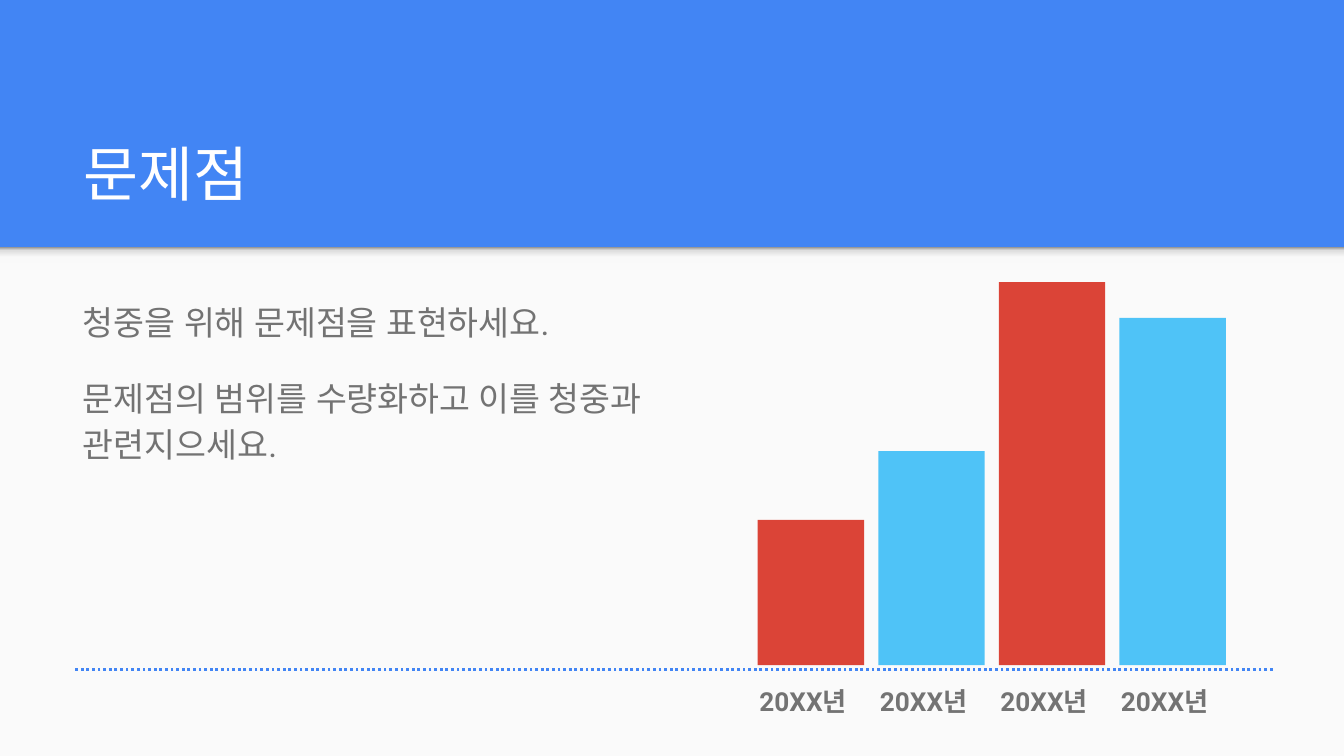
from lxml import etree
from pptx import Presentation
from pptx.dml.color import RGBColor
from pptx.enum.dml import MSO_LINE
from pptx.enum.shapes import MSO_CONNECTOR as CONN, MSO_SHAPE as SHAPE
from pptx.enum.text import MSO_ANCHOR as ANCHOR
from pptx.oxml import parse_xml
from pptx.oxml.ns import qn
from pptx.util import Pt

BLUE, RED, SKY, GREY = "4285F4", "DB4437", "4FC3F7", "737373"
NO_GRID = "{2D5ABB26-0587-4C30-8999-92F81FD0307C}"
INSET = Pt(7.2)


def rgb(color):
    return RGBColor.from_string(color)


def add_run(p, text, size, color, bold=False):
    r = p.add_run()
    r.text = text
    r.font.name = "Roboto"
    r.font.size = Pt(size)
    r.font.bold = bold
    r.font.color.rgb = rgb(color)
    # Hangul uses the East Asian typeface
    etree.SubElement(r.font._element, qn("a:ea"), typeface="Roboto")


prs = Presentation()
prs.slide_width, prs.slide_height = Pt(720), Pt(405)
s = prs.slides.add_slide(prs.slide_layouts[6])
s.background.fill.solid()
s.background.fill.fore_color.rgb = rgb(BLUE)

# Pale panel, then the four bars standing on one baseline
BAR_LEFT, PITCH, BAR_WIDTH, BASE = 405.9, 64.6, 57, 356.4
rects = [(0, 132.5, 720, 272.5, "FAFAFA"), (0, 132.5, 720, 8.6, None)]
bars = [(77.9, RED), (114.7, SKY), (205.3, RED), (186, SKY)]
for i, (height, color) in enumerate(bars):
    rects.append((BAR_LEFT + i * PITCH, BASE - height, BAR_WIDTH, height, color))

for left, top, width, height, color in rects:
    sp = s.shapes.add_shape(SHAPE.RECTANGLE, Pt(left), Pt(top), Pt(width), Pt(height))
    sp.shadow.inherit = False
    sp.line.fill.background()
    if color:
        sp.fill.solid()
        sp.fill.fore_color.rgb = rgb(color)
    else:
        # Soft shade under the header
        stops = [(0, "F9F9F9"), (36, "F9F9F9"), (80, "DEDEDE"), (100, "999999")]
        gs = "".join(f'<a:gs pos="{pos * 1000}"><a:srgbClr val="{c}"/></a:gs>'
                     for pos, c in stops)
        grad = parse_xml(
            '<a:gradFill xmlns:a="http://schemas.openxmlformats.org/drawingml/2006/main">'
            f'<a:gsLst>{gs}</a:gsLst><a:lin ang="16200000" scaled="0"/></a:gradFill>')
        sp._element.spPr.find(qn("a:prstGeom")).addnext(grad)

# Title and body text
texts = [
    (58.3, 647.3, 60.5, ANCHOR.BOTTOM, 32, "FFFFFF", 1, ["문제점"]),
    (151.2, 314.6, 213.1, ANCHOR.TOP, 18, GREY, 1.15,
     ["청중을 위해 문제점을 표현하세요.",
      "문제점의 범위를 수량화하고 이를 청중과 관련지으세요."]),
]
for top, width, height, anchor, size, color, spacing, lines in texts:
    tf = s.shapes.add_textbox(Pt(37.4), Pt(top), Pt(width), Pt(height)).text_frame
    tf.word_wrap = True
    tf.vertical_anchor = anchor
    tf.margin_left = tf.margin_right = tf.margin_top = tf.margin_bottom = INSET
    for i, line in enumerate(lines):
        p = tf.add_paragraph() if i else tf.paragraphs[0]
        p.line_spacing = spacing
        if i:
            p.space_before = p.space_after = Pt(16)
        add_run(p, line, size, color)

# Year labels
table = s.shapes.add_table(1, 4, Pt(399.6), Pt(358.6), Pt(4 * PITCH), Pt(18.7)).table
table.first_row = table.horz_banding = False
table._tbl.tblPr.find(qn("a:tableStyleId")).text = NO_GRID
for i, cell in enumerate(table.iter_cells()):
    table.columns[i].width = Pt(PITCH)
    cell.fill.background()
    cell.margin_left = cell.margin_right = cell.margin_top = cell.margin_bottom = INSET
    p = cell.text_frame.paragraphs[0]
    p.line_spacing = 1.15
    add_run(p, "20XX년", 14, GREY, bold=True)

# Dotted baseline
line = s.shapes.add_connector(CONN.STRAIGHT, Pt(681.8), Pt(358.6), Pt(40.3), Pt(358.6))
line.line.color.rgb = rgb(BLUE)
line.line.width = Pt(1.5)
line.line.dash_style = MSO_LINE.ROUND_DOT
etree.SubElement(line._element.spPr, qn("a:effectLst"))

prs.save("out.pptx")
